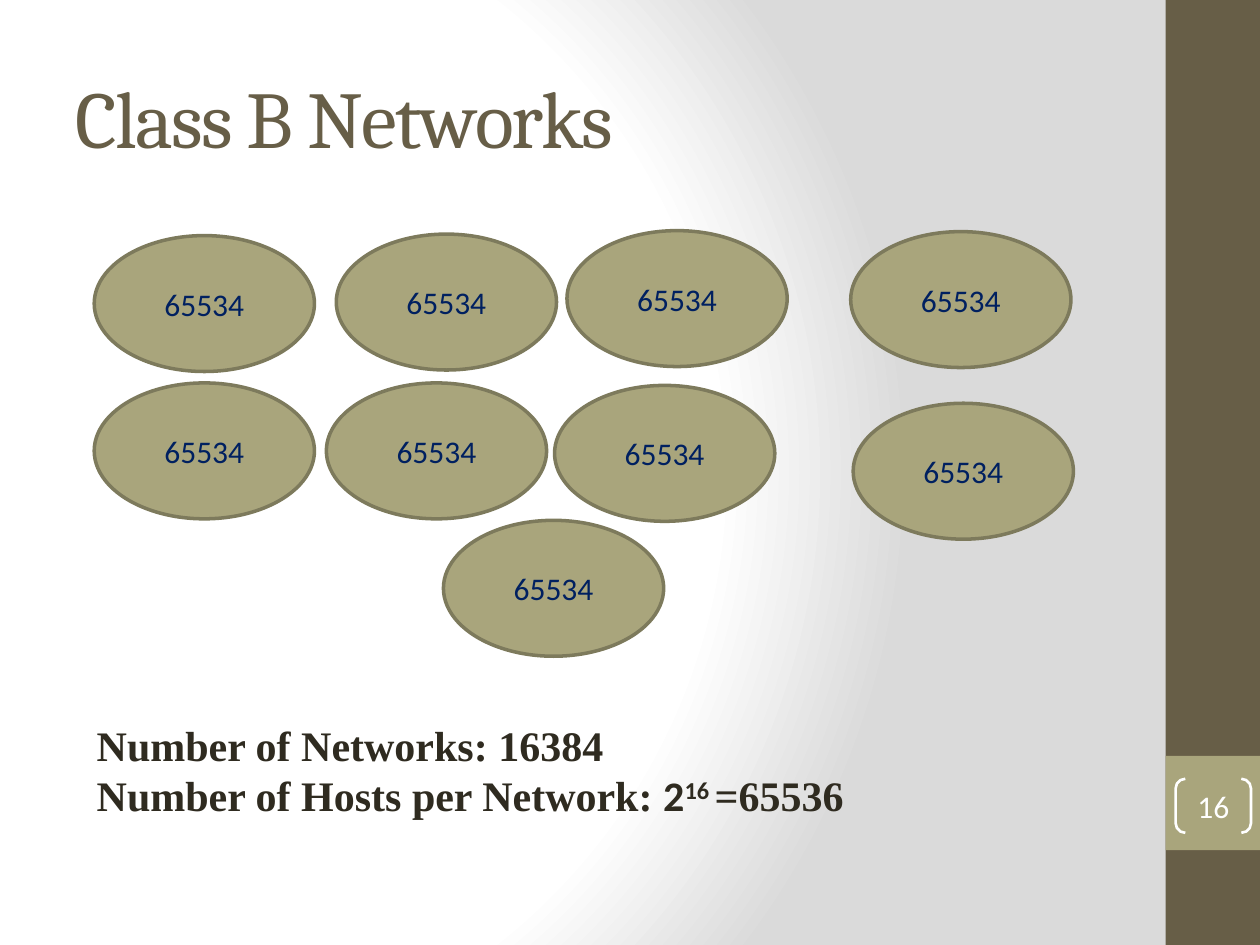
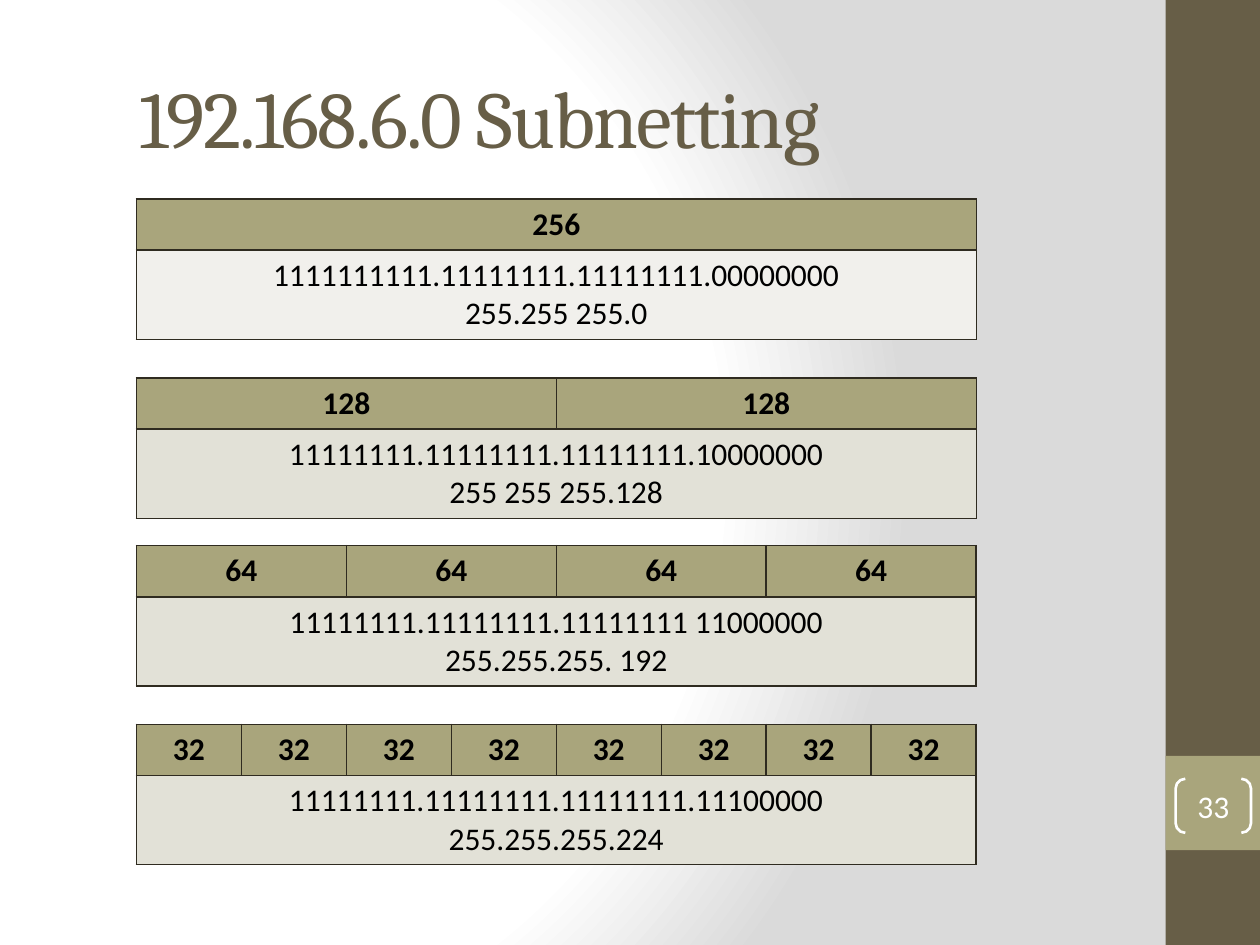
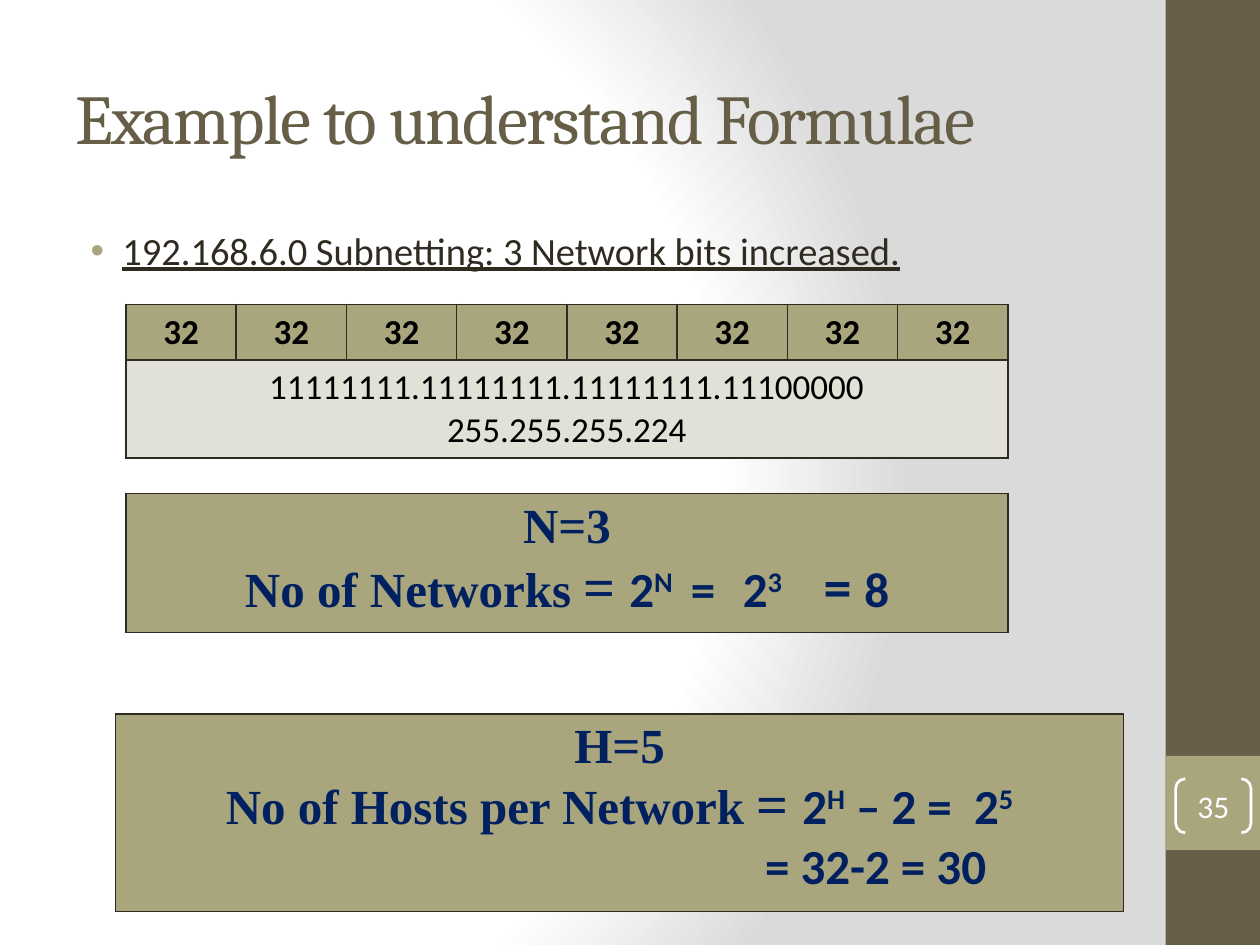
"""Build three slides on class B networks and subnetting of 192.168.6.0."""
from pptx import Presentation
from pptx import util as u
from pptx.dml.color import RGBColor
from pptx.enum import shapes, text
from pptx.oxml import parse_xml
from pptx.oxml.ns import nsdecls, qn

BROWN = RGBColor(0x67, 0x5E, 0x47)
OLIVE = RGBColor(0xA9, 0xA5, 0x7C)
OUTLINE = RGBColor(0x7D, 0x7A, 0x5C)
INK = RGBColor(0x2F, 0x2B, 0x20)
NAVY = RGBColor(0x00, 0x20, 0x60)
BLACK = RGBColor(0, 0, 0)
WHITE = RGBColor(0xFF, 0xFF, 0xFF)
PALE = RGBColor(0xF1, 0xF0, 0xEC)
SAND = RGBColor(0xE2, 0xE1, 0xD7)
BACKGROUND_STOPS = [(0, "FFFFFF"), (75, "FFFFFF"), (100, "DADADA")]

SANS, SERIF, TIMES = "Calibri", "Cambria", "Times New Roman"
SUPER = {"font": SANS, "baseline": 30}
CALIBRI = {"font": SANS}
BIG = {"size": 32}
BIG_CALIBRI = {"size": 32, "font": SANS}

NETWORK_HOSTS = "65534"
NETWORK_SIZE = (4.44, 2.74)
NETWORK_PLACES = [
    (1.9, 4.75), (6.78, 4.72), (1.9, 7.72), (6.58, 7.72), (8.94, 10.49),
    (11.43, 4.65), (17.2, 8.13), (17.15, 4.67), (11.18, 7.77),
]
SUMMARY = [
    [("Number of Networks: 16384", {})],
    [("Number of Hosts per Network: ", {}), ("2", CALIBRI), ("16 ", SUPER),
     ("=65536", {})],
]

SUBNETS = [
    (4.01, 1, "256", ["1111111111.11111111.11111111.00000000", "255.255 255.0"], PALE),
    (7.62, 2, "128", ["11111111.11111111.11111111.10000000", "255 255 255.128"], SAND),
    (11.0, 4, "64", ["11111111.11111111.11111111 11000000", "255.255.255. 192"], SAND),
    (14.6, 8, "32", ["11111111.11111111.11111111.11100000", "255.255.255.224"], SAND),
]

EXAMPLE = "192.168.6.0 Subnetting: 3 Network bits increased."
NETWORK_FORMULA = [
    [("N=3", {})],
    [("No of Networks ", {}), ("= ", BIG), ("2", CALIBRI), ("N", SUPER),
     (" ", {"font": SANS, "spacing": 4}), ("=", CALIBRI),
     (" ", {"font": SANS, "spacing": 9.5}), ("2", CALIBRI), ("3", SUPER),
     (" ", {"font": SANS, "spacing": 17.5}), ("= ", BIG_CALIBRI), ("8", CALIBRI)],
]
HOST_FORMULA = [
    [("H=5", {})],
    [("No of Hosts per Network ", {}), ("= ", BIG), ("2", CALIBRI), ("H", SUPER),
     (" – 2 =", CALIBRI), (" ", {"font": SANS, "spacing": 6.5}),
     ("2", CALIBRI), ("5", SUPER)],
    [("= 32-2 = 30", CALIBRI)],
]
RESULT_INDENT = 10.32


def style_of(size, font, color, **more):
    return {"size": size, "font": font, "color": color, **more}


def box_of(left, top, width, height):
    return [u.Cm(value) for value in (left, top, width, height)]


def write(frame, paragraphs, style, align=text.PP_ALIGN.LEFT):
    for index, runs in enumerate(paragraphs):
        paragraph = frame.paragraphs[0] if index == 0 else frame.add_paragraph()
        paragraph.alignment = align
        for words, changes in runs:
            look = {**style, **changes}
            run = paragraph.add_run()
            run.text = words
            run.font.size = u.Pt(look["size"])
            run.font.name = look["font"]
            run.font.color.rgb = look["color"]
            run.font.bold = look.get("bold", False)
            run.font.underline = look.get("underline", False)
            properties = run._r.get_or_add_rPr()
            if "baseline" in look:
                properties.set("baseline", str(look["baseline"] * 1000))
            if "spacing" in look:
                properties.set("spc", str(round(look["spacing"] * 100)))


def indent(paragraph, left, first=0):
    properties = paragraph._p.get_or_add_pPr()
    properties.set("marL", str(u.Cm(left)))
    properties.set("indent", str(u.Cm(first)))
    return properties


def add_text(slide, box, paragraphs, style, anchor=text.MSO_ANCHOR.TOP):
    frame = slide.shapes.add_textbox(*box_of(*box)).text_frame
    frame.word_wrap = True
    frame.vertical_anchor = anchor
    write(frame, paragraphs, style)
    return frame


def add_shape(slide, kind, box, fill=None, line=None, weight=1):
    shape = slide.shapes.add_shape(kind, *box_of(*box))
    shape.shadow.inherit = False
    if fill is None:
        shape.fill.background()
    else:
        shape.fill.solid()
        shape.fill.fore_color.rgb = fill
    if line is None:
        shape.line.fill.background()
    else:
        shape.line.color.rgb = line
        shape.line.width = u.Pt(weight)
    return shape


def label(shape, words, color):
    shape.text_frame.vertical_anchor = text.MSO_ANCHOR.MIDDLE
    write(shape.text_frame, [[(words, {})]], style_of(18, SANS, color),
          text.PP_ALIGN.CENTER)


def style_cell(cell, fill):
    properties = cell._tc.get_or_add_tcPr()
    for side in ("lnL", "lnR", "lnT", "lnB"):
        properties.append(parse_xml(
            f'<a:{side} {nsdecls("a")} w="{u.Pt(1)}"><a:solidFill>'
            f'<a:srgbClr val="{INK}"/></a:solidFill></a:{side}>'))
    cell.fill.solid()
    cell.fill.fore_color.rgb = fill


def add_table(slide, left, top, width, columns, rows):
    """Add a table of (height, fill, style, cells); a lone cell spans its row."""
    height = sum(row[0] for row in rows)
    table = slide.shapes.add_table(
        len(rows), columns, *box_of(left, top, width, height)).table
    table.first_row = table.horz_banding = False
    for column in table.columns:
        column.width = u.Cm(width / columns)
    for index, (row_height, fill, style, cells) in enumerate(rows):
        table.rows[index].height = u.Cm(row_height)
        for number in range(columns):
            style_cell(table.cell(index, number), fill)
        if len(cells) < columns:
            table.cell(index, 0).merge(table.cell(index, columns - 1))
        for number, paragraphs in enumerate(cells):
            write(table.cell(index, number).text_frame, paragraphs, style,
                  text.PP_ALIGN.CENTER)
    return table


def add_subnet(slide, left, top, width, heights, size, subnet):
    _, count, hosts, mask, fill = subnet
    style = style_of(size, SANS, BLACK)
    add_table(slide, left, top, width, count, [
        (heights[0], OLIVE, {**style, "bold": True}, [[[(hosts, {})]]] * count),
        (heights[1], fill, style, [[[(line, {})] for line in mask]]),
    ])


def add_formula(slide, left, top, width, height, paragraphs):
    style = style_of(28, TIMES, NAVY, bold=True)
    table = add_table(slide, left, top, width, 1, [(height, OLIVE, style, [paragraphs])])
    return table.cell(0, 0).text_frame


def set_background(master):
    master.background.fill.gradient()
    gradient = master.element.find(".//" + qn("a:gradFill"))
    stops = "".join(
        f'<a:gs pos="{place * 1000}"><a:srgbClr val="{color}"/></a:gs>'
        for place, color in BACKGROUND_STOPS)
    gradient.getparent().replace(gradient, parse_xml(
        f'<a:gradFill {nsdecls("a")} rotWithShape="1"><a:gsLst>{stops}</a:gsLst>'
        '<a:path path="circle"><a:fillToRect l="20000" t="50000" r="100000" b="50000"/>'
        '</a:path></a:gradFill>'))


def add_slide(presentation, title, number, size=46, title_indent=0):
    slide = presentation.slides.add_slide(presentation.slide_layouts[6])
    kinds = shapes.MSO_SHAPE
    add_shape(slide, kinds.RECTANGLE, (23.5, 0, 1.9, 19.05), BROWN)
    add_shape(slide, kinds.RECTANGLE, (23.5, 15.24, 1.9, 1.9), OLIVE)
    frame = add_text(slide, (1.27, 0.76, 21.16, 3.18), [[(title, {})]],
                     style_of(size, SERIF, BROWN, spacing=-1), text.MSO_ANCHOR.MIDDLE)
    indent(frame.paragraphs[0], title_indent)
    bracket = add_shape(slide, kinds.DOUBLE_BRACKET, (23.7, 15.7, 1.52, 1.09),
                        line=WHITE, weight=1.5)
    bracket.adjustments[0] = 0.179
    frame = bracket.text_frame
    frame.margin_left = frame.margin_right = frame.margin_top = frame.margin_bottom = 0
    label(bracket, str(number), WHITE)
    return slide


def build_networks(presentation):
    slide = add_slide(presentation, "Class B Networks", 16)
    for place in NETWORK_PLACES:
        network = add_shape(slide, shapes.MSO_SHAPE.OVAL, place + NETWORK_SIZE,
                            OLIVE, OUTLINE, 2)
        label(network, NETWORK_HOSTS, NAVY)
    add_text(slide, (1.7, 14.38, 19.05, 2.31), SUMMARY,
             style_of(24, TIMES, INK, bold=True))


def build_subnetting(presentation):
    slide = add_slide(presentation, "192.168.6.0 Subnetting", 33, title_indent=1.29)
    for subnet in SUBNETS:
        add_subnet(slide, 2.75, subnet[0], 16.93, (1.03, 1.8), 18, subnet)


def build_example(presentation):
    slide = add_slide(presentation, "Example to understand Formulae", 35, size=40)
    frame = add_text(slide, (1.27, 4.45, 21.16, 13.33), [[(EXAMPLE, {})]],
                     style_of(22, SANS, INK, underline=True))
    bullet = indent(frame.paragraphs[0], 0.95, -0.64)
    bullet.append(parse_xml(
        f'<a:buClr {nsdecls("a")}><a:srgbClr val="{OLIVE}"/></a:buClr>'))
    bullet.append(parse_xml(f'<a:buFont {nsdecls("a")} typeface="Arial"/>'))
    bullet.append(parse_xml(f'<a:buChar {nsdecls("a")} char="•"/>'))
    add_subnet(slide, 2.54, 6.14, 17.78, (1.12, 1.97), 20, SUBNETS[-1])
    add_formula(slide, 2.54, 9.95, 17.78, 2.74, NETWORK_FORMULA)
    frame = add_formula(slide, 2.33, 14.39, 20.32, 3.85, HOST_FORMULA)
    indent(frame.paragraphs[-1], RESULT_INDENT)


def main():
    presentation = Presentation()
    presentation.slide_width, presentation.slide_height = u.Cm(25.4), u.Cm(19.05)
    set_background(presentation.slide_master)
    build_networks(presentation)
    build_subnetting(presentation)
    build_example(presentation)
    presentation.save("out.pptx")


if __name__ == "__main__":
    main()
